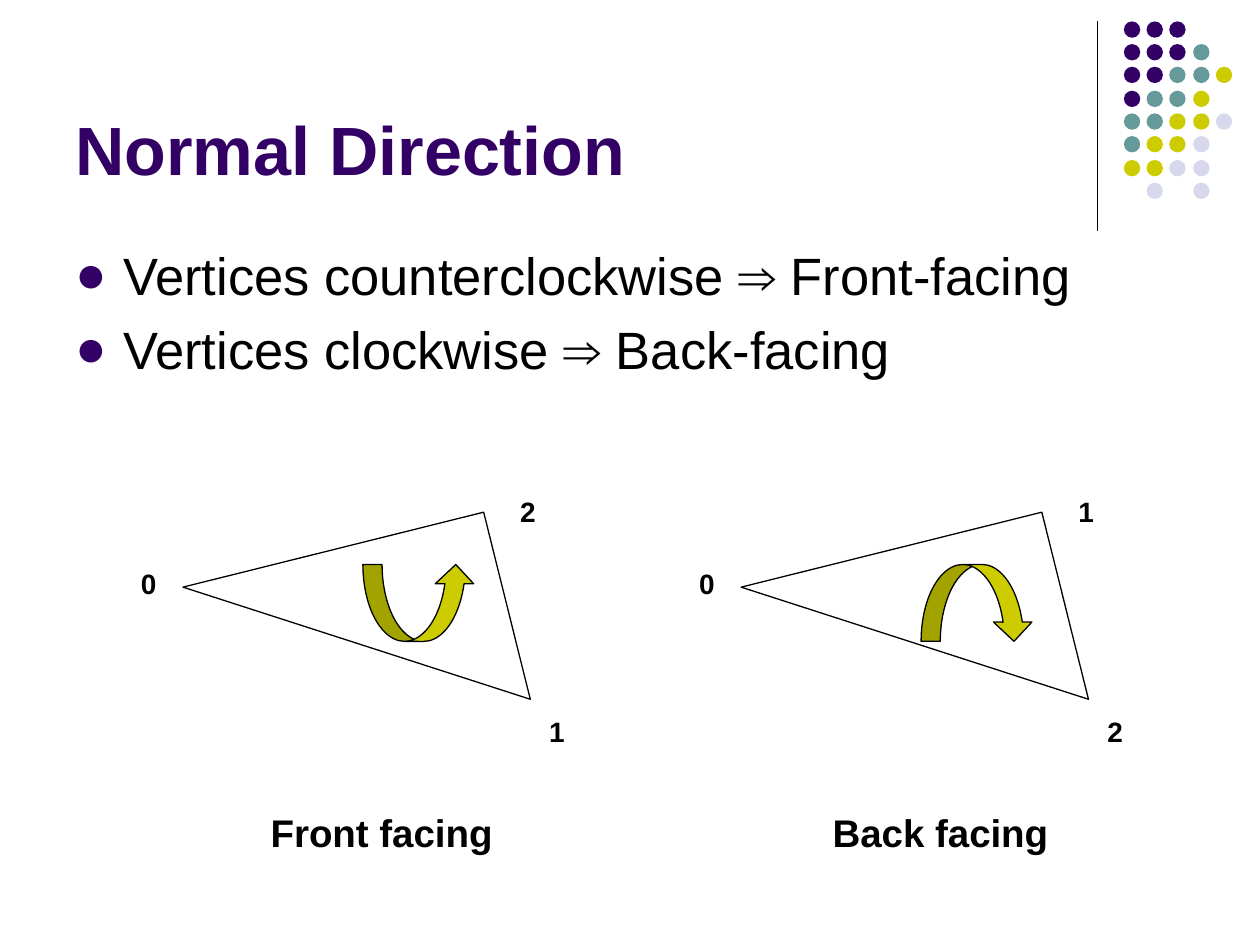
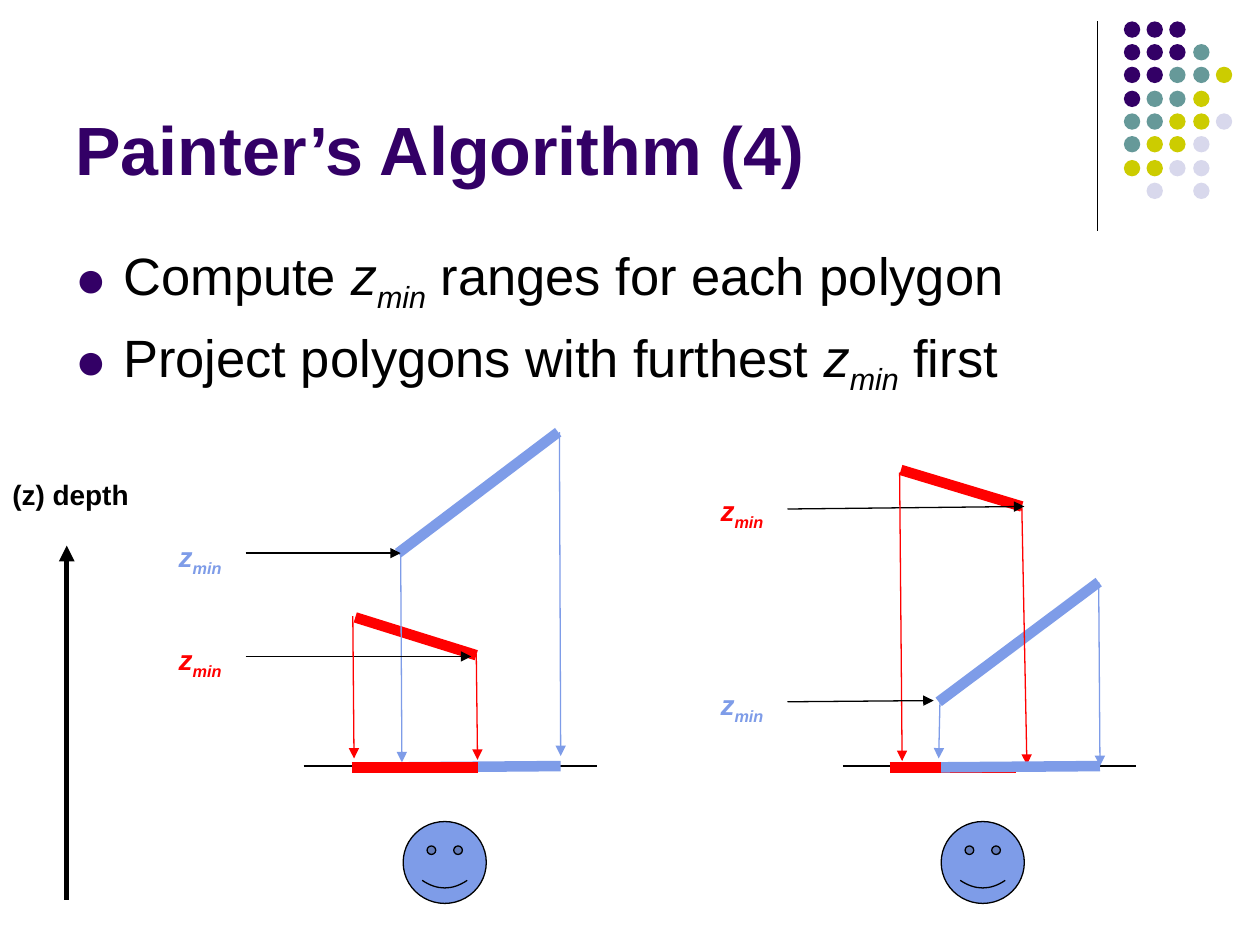
"""Build two graphics slides on facing direction and depth order."""
from dataclasses import dataclass
from typing import NamedTuple

from lxml.etree import SubElement as Sub
from pptx import Presentation
from pptx.dml.color import RGBColor as Rgb
from pptx.enum.shapes import MSO_CONNECTOR as Link, MSO_SHAPE as Kind
from pptx.enum.text import MSO_ANCHOR as Anchor
from pptx.oxml.ns import qn
from pptx.util import Pt

PX = 9144
FONT = "Arial"
HUES = {
    "ink": "000000", "plum": "330066", "teal": "669999", "lime": "CCCC00",
    "mist": "D8D8EC", "blue": "7E9CE8", "red": "FF0000",
}
DOTS = ("ppp", "pppt", "ppttl", "pttl", "ttllm", "tllm", "llmm", " m m")
CODES = {"p": "plum", "t": "teal", "l": "lime", "m": "mist"}
GROUND = 608


class Spot(NamedTuple):
    x: int
    y: int


class Box(NamedTuple):
    x: int
    y: int
    w: int
    h: int


@dataclass
class Style:
    size: int
    hue: str = "ink"
    bold: bool = True
    slant: bool = False


@dataclass
class Facing:
    shift: int
    upper: str
    lower: str
    flip: bool
    title: str
    place: Box


@dataclass
class Wall:
    hue: str
    near: Spot
    far: Spot
    drops: tuple[tuple[Spot, Spot], ...]
    base: tuple[Spot, Spot]
    tip: Spot
    stem: Spot
    label: Spot


@dataclass
class Scene:
    left: int
    face: int
    walls: tuple[Wall, ...]


HEAD = Style(39, "plum")
BODY = Style(30, bold=False)
MARK = Style(16)
NAME = Style(22)

FACINGS = (
    Facing(0, "2", "1", False, "Front facing", Box(205, 637, 197, 47)),
    Facing(443, "1", "2", True, "Back facing", Box(651, 637, 192, 47)),
)

SCENES = (
    Scene(241, 320, (
        Wall("blue", Spot(316, 439), Spot(443, 343),
             ((Spot(318, 440), Spot(319, 605)), (Spot(444, 343), Spot(445, 600))),
             (Spot(319, 609), Spot(445, 608)),
             Spot(318, 439), Spot(195, 439), Spot(132, 423)),
        Wall("red", Spot(282, 490), Spot(378, 520),
             ((Spot(280, 489), Spot(281, 602)), (Spot(378, 519), Spot(379, 603))),
             (Spot(279, 609), Spot(379, 609)),
             Spot(374, 521), Spot(195, 521), Spot(132, 505)),
    )),
    Scene(669, 747, (
        Wall("red", Spot(715, 373), Spot(811, 402),
             ((Spot(714, 375), Spot(716, 604)), (Spot(811, 403), Spot(815, 607))),
             (Spot(706, 609), Spot(806, 609)),
             Spot(813, 402), Spot(625, 404), Spot(562, 387)),
        Wall("blue", Spot(745, 557), Spot(872, 462),
             ((Spot(746, 558), Spot(745, 602)), (Spot(872, 462), Spot(873, 608))),
             (Spot(747, 609), Spot(873, 608)),
             Spot(741, 556), Spot(625, 557), Spot(562, 541)),
    )),
)


def tint(hue: str) -> Rgb:
    return Rgb.from_string(HUES[hue])


def scale(spots) -> list[int]:
    return [v * PX for v in spots]


def write(par, text: str, style: Style) -> None:
    """Split text at bars and set z and its min index in italics."""
    for part in text.split("|"):
        run = par.add_run()
        run.text = part
        font = run.font
        font.name, font.size, font.bold = FONT, Pt(style.size), style.bold
        font.color.rgb = tint(style.hue)
        font.italic = style.slant or part in ("z", "min")
        if part == "min":
            run._r.get_or_add_rPr().set("baseline", "-25000")


def add_text(slide, box: Box, text: str, style: Style, wrap: bool = False):
    frame = slide.shapes.add_textbox(*scale(box)).text_frame
    frame.word_wrap = wrap
    write(frame.paragraphs[0], text, style)
    return frame


def add_line(slide, start: Spot, end: Spot, hue: str = "ink",
             width: float = 0.75, arrow: bool = False) -> None:
    link = slide.shapes.add_connector(Link.STRAIGHT, *scale(start + end))
    link.line.color.rgb = tint(hue)
    link.line.width = Pt(width)
    if arrow:
        Sub(link.line._get_or_add_ln(), qn("a:tailEnd"), type="triangle")
    Sub(link._element.spPr, qn("a:effectLst"))


def add_form(slide, kind: Kind, box: Box, hue: str = "", edge: bool = True,
             turn: int = 0):
    form = slide.shapes.add_shape(kind, *scale(box))
    form.shadow.inherit = False
    form.rotation = turn
    if hue:
        form.fill.solid()
        form.fill.fore_color.rgb = tint(hue)
    else:
        form.fill.background()
    if edge:
        form.line.color.rgb = tint("ink")
        form.line.width = Pt(0.75)
    else:
        form.line.fill.background()
    return form


def add_list(slide, items: tuple[str, ...]) -> None:
    frame = slide.shapes.add_textbox(*scale(Box(50, 188, 900, 482))).text_frame
    frame.word_wrap = True
    for num, item in enumerate(items):
        par = frame.add_paragraph() if num else frame.paragraphs[0]
        props = par._p.get_or_add_pPr()
        props.set("marL", str(38 * PX))
        props.set("indent", str(-38 * PX))
        Sub(Sub(props, qn("a:buClr")), qn("a:srgbClr"), val=HUES["plum"])
        Sub(props, qn("a:buFont"), typeface=FONT)
        Sub(props, qn("a:buChar"), char="●")
        if num:
            par.space_before = Pt(6)
        write(par, item, BODY)


def start(deck, title: str, items: tuple[str, ...]):
    """Add a slide with the shared rule, dots, title and list."""
    slide = deck.slides.add_slide(deck.slide_layouts[6])
    add_line(slide, Spot(871, 17), Spot(871, 183))
    for row, codes in enumerate(DOTS):
        for col, code in enumerate(codes):
            if code in CODES:
                box = Box(892 + col * 55 // 3, 17 + row * 55 // 3, 13, 13)
                add_form(slide, Kind.OVAL, box, CODES[code], edge=False)
    frame = add_text(slide, Box(50, 13, 825, 142), title, HEAD, wrap=True)
    frame.vertical_anchor = Anchor.BOTTOM
    add_list(slide, items)
    return slide


def draw_facing(slide, face: Facing) -> None:
    dx = face.shift
    add_form(slide, Kind.RIGHT_TRIANGLE, Box(160 + dx, 434, 246, 153), turn=166)
    for text, x, y in (("0", 102, 445), (face.lower, 426, 562), (face.upper, 403, 388)):
        add_text(slide, Box(x + dx, y, 32, 37), text, MARK)
    bend = add_form(slide, Kind.CURVED_RIGHT_ARROW, Box(302 + dx, 434, 61, 89),
                    "lime", turn=270)
    if face.flip:
        bend._element.spPr.xfrm.set("flipH", "1")
    add_text(slide, face.place, face.title, NAME)


def draw_scene(slide, scene: Scene) -> None:
    add_line(slide, Spot(scene.left, GROUND), Spot(scene.left + 233, GROUND))
    smile = add_form(slide, Kind.SMILEY_FACE, Box(scene.face, 652, 66, 65), "blue")
    smile.adjustments[0] = 0.047
    for wall in scene.walls:
        add_line(slide, wall.near, wall.far, wall.hue, 6)
    for wall in scene.walls:
        add_line(slide, wall.stem, wall.tip, arrow=True)
        add_text(slide, Box(*wall.label, 58, 37), "z|min",
                 Style(16, wall.hue, slant=True))
        for top, foot in wall.drops:
            add_line(slide, top, foot, wall.hue, arrow=True)
    for wall in scene.walls:
        add_line(slide, *wall.base, wall.hue, 6)


def main() -> None:
    deck = Presentation()
    deck.slide_width, deck.slide_height = scale((1000, 750))

    slide = start(deck, "Normal Direction", (
        "Vertices counterclockwise ⇒ Front-facing",
        "Vertices clockwise ⇒ Back-facing",
    ))
    for face in FACINGS:
        draw_facing(slide, face)

    slide = start(deck, "Painter’s Algorithm (4)", (
        "Compute |z|min| ranges for each polygon",
        "Project polygons with furthest |z|min| first",
    ))
    add_line(slide, Spot(53, 714), Spot(53, 433), width=3, arrow=True)
    add_text(slide, Box(0, 374, 113, 37), "(z) depth", MARK)
    for scene in SCENES:
        draw_scene(slide, scene)

    deck.save("out.pptx")


if __name__ == "__main__":
    main()
